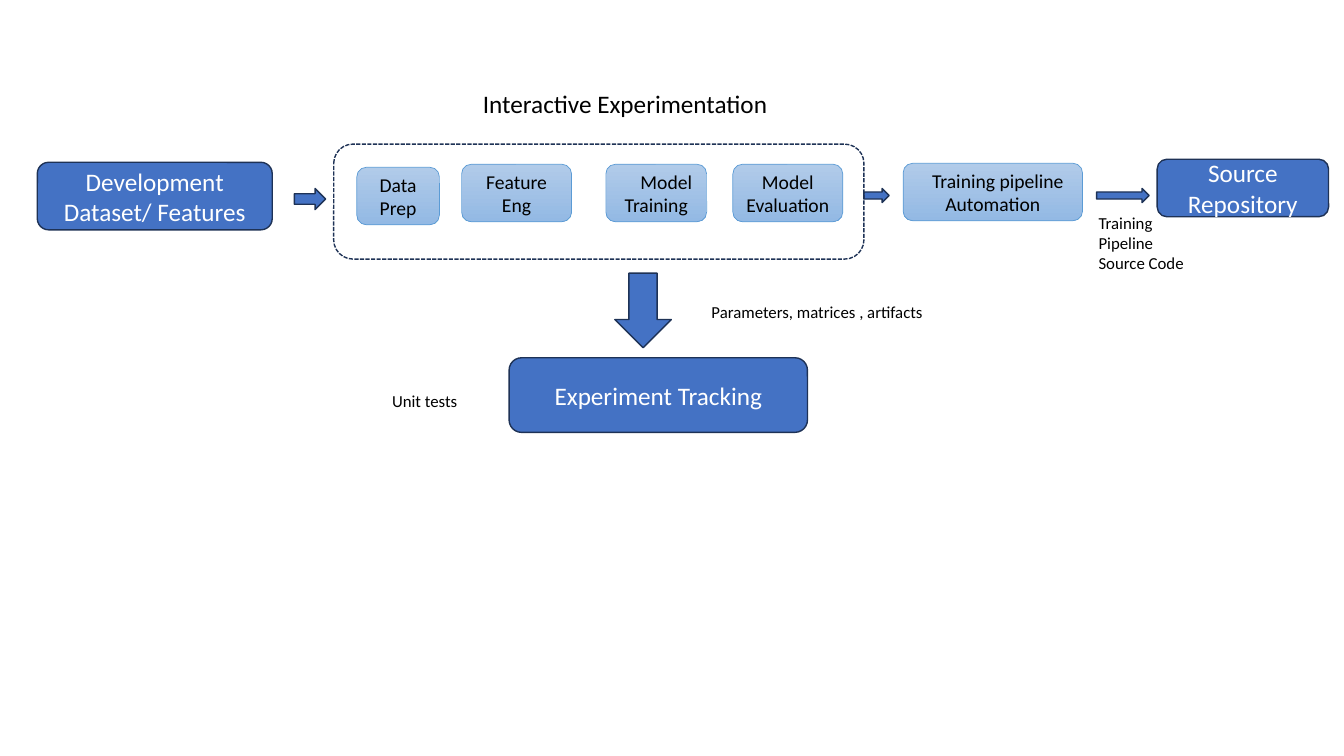
from pptx import Presentation
from pptx.dml.color import RGBColor
from pptx.enum.dml import MSO_LINE
from pptx.enum.shapes import MSO_SHAPE
from pptx.enum.text import MSO_ANCHOR, MSO_AUTO_SIZE, PP_ALIGN
from pptx.util import Inches, Pt

WIDE, HIGH = Inches(13.33), Inches(7.5)
HEX = {"blue": "4472C4", "navy": "1E3256", "sky": "5B9BD5",
       "pale": "B1CBE9", "soft": "93B9E4", "white": "FFFFFF", "black": "000000"}

# Places are left, top, width, height in percent of the slide.
TITLE = ("Interactive Experimentation", (35.18, 11.07, 27.53, 5.33))
MAIN = [
    ("Development Dataset/ Features", (2.78, 21.47, 17.48, 8.93)),
    ("Source Repository", (86.1, 21.07, 12.75, 7.6)),
    ("Experiment Tracking", (37.88, 47.33, 22.2, 9.87)),
]
# Each step: text, left, top, width, first-line indent in inches
STEP_H = 7.6
STEPS = [
    ("Data Prep", 26.55, 22.13, 6.15, 0),
    ("Feature Eng", 34.35, 21.73, 8.18, 0),
    ("Model Training", 45.08, 21.73, 7.5, 0.2),
    ("Model Evaluation", 54.53, 21.73, 8.18, 0),
    ("Training pipeline Automation", 67.2, 21.6, 13.35, 0.1),
]
ARROWS = [
    (MSO_SHAPE.RIGHT_ARROW, (21.9, 24.93, 2.33, 2.8)),
    (MSO_SHAPE.RIGHT_ARROW, (64.28, 24.93, 1.88, 1.87)),
    (MSO_SHAPE.RIGHT_ARROW, (81.6, 24.93, 3.9, 1.87)),
    (MSO_SHAPE.DOWN_ARROW, (45.75, 36.13, 4.2, 9.87)),
]
NOTES = [
    ("Parameters, matrices , artifacts", (52.2, 39.2, 22.2, 4)),
    ("Unit tests", (28.43, 51.07, 10.95, 4)),
    ("Training\nPipeline\nSource Code", (81, 27.47, 13.35, 9.47)),
]
FRAME = (24.83, 19.07, 39.45, 15.2)


def tone(name):
    return RGBColor.from_string(HEX[name])


def place(box):
    """Turn percent shares into slide lengths."""
    return [int(part * side / 100) for part, side in zip(box, (WIDE, HIGH) * 2)]


def write(shape, text, size, color, align, anchor, indent=0):
    frame = shape.text_frame
    frame.text = text
    form = {"word_wrap": True, "auto_size": MSO_AUTO_SIZE.NONE,
            "vertical_anchor": anchor,
            "margin_left": Inches(0.1), "margin_right": Inches(0.1),
            "margin_top": Inches(0.05), "margin_bottom": Inches(0.05)}
    for key, value in form.items():
        setattr(frame, key, value)
    for para in frame.paragraphs:
        para.alignment = align
        if indent:
            para._p.get_or_add_pPr().set("indent", str(Inches(indent)))
        for key, value in {"name": "Calibri", "size": Pt(size)}.items():
            setattr(para.font, key, value)
        para.font.color.rgb = tone(color)


def draw(kind, box, fill="blue", line="navy", width=1):
    shape = slide.shapes.add_shape(kind, *place(box))
    shape.shadow.inherit = False
    if fill is None:
        shape.fill.background()
    elif isinstance(fill, tuple):
        shape.fill.gradient()
        shape.fill.gradient_angle = 270
        for stop, name in zip(shape.fill.gradient_stops, fill):
            stop.color.rgb = tone(name)
        for stop, spot in zip(shape.fill.gradient_stops, (0, 1)):
            stop.position = spot
    else:
        shape.fill.solid()
        shape.fill.fore_color.rgb = tone(fill)
    shape.line.color.rgb = tone(line)
    shape.line.width = Pt(width)
    return shape


deck = Presentation()
deck.slide_width, deck.slide_height = WIDE, HIGH
slide = deck.slides.add_slide(deck.slide_layouts[5])

text, box = TITLE
title = slide.shapes.title
for key, value in zip(("left", "top", "width", "height"), place(box)):
    setattr(title, key, value)
write(title, text, 18, "black", PP_ALIGN.LEFT, MSO_ANCHOR.TOP)

for text, box in MAIN:
    block = draw(MSO_SHAPE.ROUNDED_RECTANGLE, box)
    write(block, text, 18, "white", PP_ALIGN.CENTER, MSO_ANCHOR.MIDDLE)

for text, left, top, width, indent in STEPS:
    step = draw(MSO_SHAPE.ROUNDED_RECTANGLE, (left, top, width, STEP_H),
                ("pale", "soft"), "sky", 0.5)
    write(step, text, 14, "black", PP_ALIGN.CENTER, MSO_ANCHOR.MIDDLE, indent)

for kind, box in ARROWS:
    draw(kind, box)

for text, box in NOTES:
    note = slide.shapes.add_textbox(*place(box))
    write(note, text, 12, "black", PP_ALIGN.LEFT, MSO_ANCHOR.TOP)

frame = draw(MSO_SHAPE.ROUNDED_RECTANGLE, FRAME, None)
frame.line.dash_style = MSO_LINE.SQUARE_DOT

deck.save("out.pptx")
